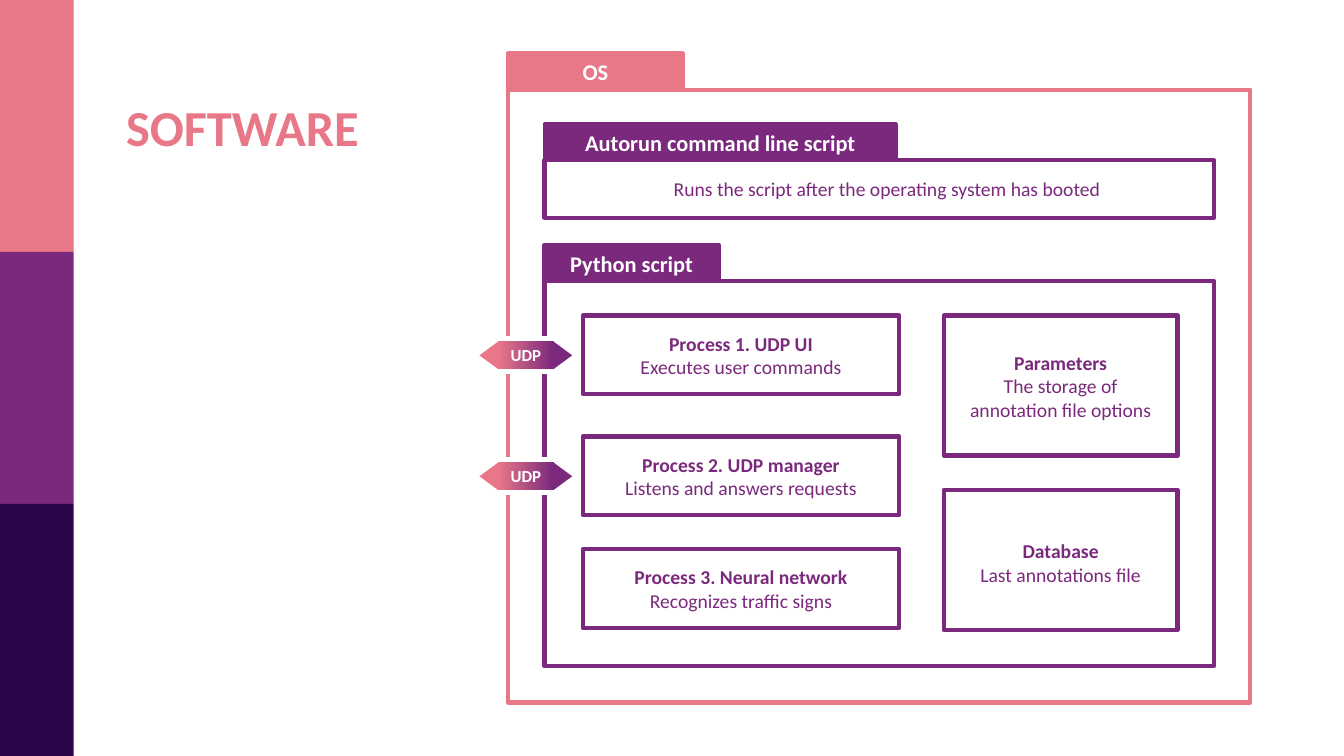
from pptx import Presentation
from pptx.dml.color import RGBColor
from pptx.enum.shapes import MSO_SHAPE as Kind
from pptx.enum.text import MSO_ANCHOR as Anchor, MSO_AUTO_SIZE as Fit, PP_ALIGN as Align
from pptx.util import Inches, Pt

PINK, PLUM, NAVY, WHITE = "E87888", "7B297D", "2B0549", "FFFFFF"


def rgb(code):
    return RGBColor.from_string(code)


def write(frame, *lines, size=14, color=PLUM, bold=False, lead=False,
          align=Align.CENTER, anchor=Anchor.TOP, fit=Fit.NONE):
    """Fill a text frame, one paragraph a line; lead makes the first one bold."""
    frame.word_wrap = True
    frame.auto_size = fit
    frame.vertical_anchor = anchor
    for i, line in enumerate(lines):
        para = frame.add_paragraph() if i else frame.paragraphs[0]
        para.alignment = align
        run = para.add_run()
        run.text = line
        font = run.font
        font.name, font.size = "Calibri", Pt(size)
        font.bold = bold or (lead and i == 0)
        font.color.rgb = rgb(color)


class Board:
    font_head = 16
    edge = 3

    def __init__(self, deck):
        self.slide = deck.slides.add_slide(deck.slide_layouts[5])
        self.shapes = self.slide.shapes

    def title(self, text, x, y, w, h):
        head = self.shapes.title
        head.left, head.top, head.width, head.height = map(Inches, (x, y, w, h))
        write(head.text_frame, text, size=36, color=PINK, bold=True,
              align=Align.LEFT, fit=Fit.SHAPE_TO_FIT_TEXT)

    def shape(self, x, y, w, h, fill=None, line=None, edge=edge,
              kind=Kind.RECTANGLE, turn=0):
        item = self.shapes.add_shape(kind, *map(Inches, (x, y, w, h)))
        item.shadow.inherit = False
        item.rotation = turn
        if fill:
            item.fill.solid()
            item.fill.fore_color.rgb = rgb(fill)
        else:
            item.fill.background()
        if line:
            item.line.color.rgb = rgb(line)
            item.line.width = Pt(edge)
        else:
            item.line.fill.background()
        return item

    def text(self, x, y, w, h, *lines, **style):
        box = self.shapes.add_textbox(*map(Inches, (x, y, w, h)))
        write(box.text_frame, *lines, fit=Fit.SHAPE_TO_FIT_TEXT, **style)

    def panel(self, name, x, y, w, h, tab, color, edge=edge):
        """A frame with a name tab on top of its left end."""
        self.shape(x, y, w, h, line=color)
        label = self.shape(x, y - 0.36, tab, 0.36, color, color, edge)
        write(label.text_frame, name, size=self.font_head, color=WHITE,
              bold=True, anchor=Anchor.MIDDLE)

    def card(self, x, y, w, h, dx, dy, high, *lines):
        """A framed box with its text inset by dx and dy."""
        self.shape(x, y, w, h, line=PLUM)
        self.text(x + dx, y + dy, w - 2 * dx, high, *lines, lead=True)

    def tip(self, x, y, w, h, turn, fill, line=None):
        return self.shape(x, y, w, h, fill, line, 1, Kind.ISOSCELES_TRIANGLE, turn)

    def port(self, name, y):
        """A two-way arrow on a white gap in the frames, centred on y."""
        gap = self.tip(5.45, y - 0.07, 0.36, 0.15, 90, WHITE, WHITE)
        gap.adjustments[0] = 0.254
        self.tip(4.56, y - 0.12, 0.36, 0.24, 270, WHITE, WHITE)
        self.shape(4.86, y - 0.18, 0.7, 0.36, WHITE, WHITE, 1)
        self.tip(5.44, y - 0.09, 0.28, 0.19, 90, PLUM)
        self.tip(4.71, y - 0.09, 0.28, 0.19, 270, PINK)
        core = self.shape(4.94, y - 0.14, 0.55, 0.28)
        core.fill.gradient()
        core.fill.gradient_angle = 0
        for stop, color in zip(core.fill.gradient_stops, (PINK, PLUM)):
            stop.color.rgb = rgb(color)
        frame = core.text_frame
        frame.margin_left = frame.margin_right = 0
        write(frame, name, size=12, color=WHITE, bold=True, anchor=Anchor.MIDDLE)


def main():
    deck = Presentation()
    deck.slide_width, deck.slide_height = Inches(13.33), Inches(7.5)
    board = Board(deck)

    # Side bar and title
    for i, color in enumerate((PINK, PLUM, NAVY)):
        board.shape(0, 2.5 * i, 0.73, 2.5, color)
    board.title("SOFTWARE", 1.15, 0.9, 2.82, 0.71)

    # Nested panels
    board.panel("OS", 5.04, 0.89, 7.36, 6.08, 1.73, PINK)
    board.panel("Python script", 5.4, 2.79, 6.64, 3.82, 1.73, PLUM)
    board.panel("Autorun command line script", 5.4, 1.59, 6.64, 0.57, 3.49, PLUM, 2.25)
    board.text(5.68, 1.71, 6.24, 0.34,
               "Runs the script after the operating system has booted")

    # Processes
    tasks = (
        (3.13, "Process 1. UDP UI", "Executes user commands"),
        (4.33, "Process 2. UDP manager", "Listens and answers requests"),
        (5.45, "Process 3. Neural network", "Recognizes traffic signs"),
    )
    for y, *lines in tasks:
        board.card(5.78, y, 3.14, 0.78, 0.15, 0.11, 0.57, *lines)

    # Stores
    board.card(9.36, 3.13, 2.32, 1.39, 0.09, 0.3, 0.81,
               "Parameters", "The storage of annotation file options")
    board.card(9.36, 4.86, 2.32, 1.39, 0.23, 0.44, 0.57,
               "Database", "Last annotations file")

    # Ports of the first two processes
    for y in (3.52, 4.72):
        board.port("UDP", y)

    deck.save("out.pptx")


if __name__ == "__main__":
    main()
